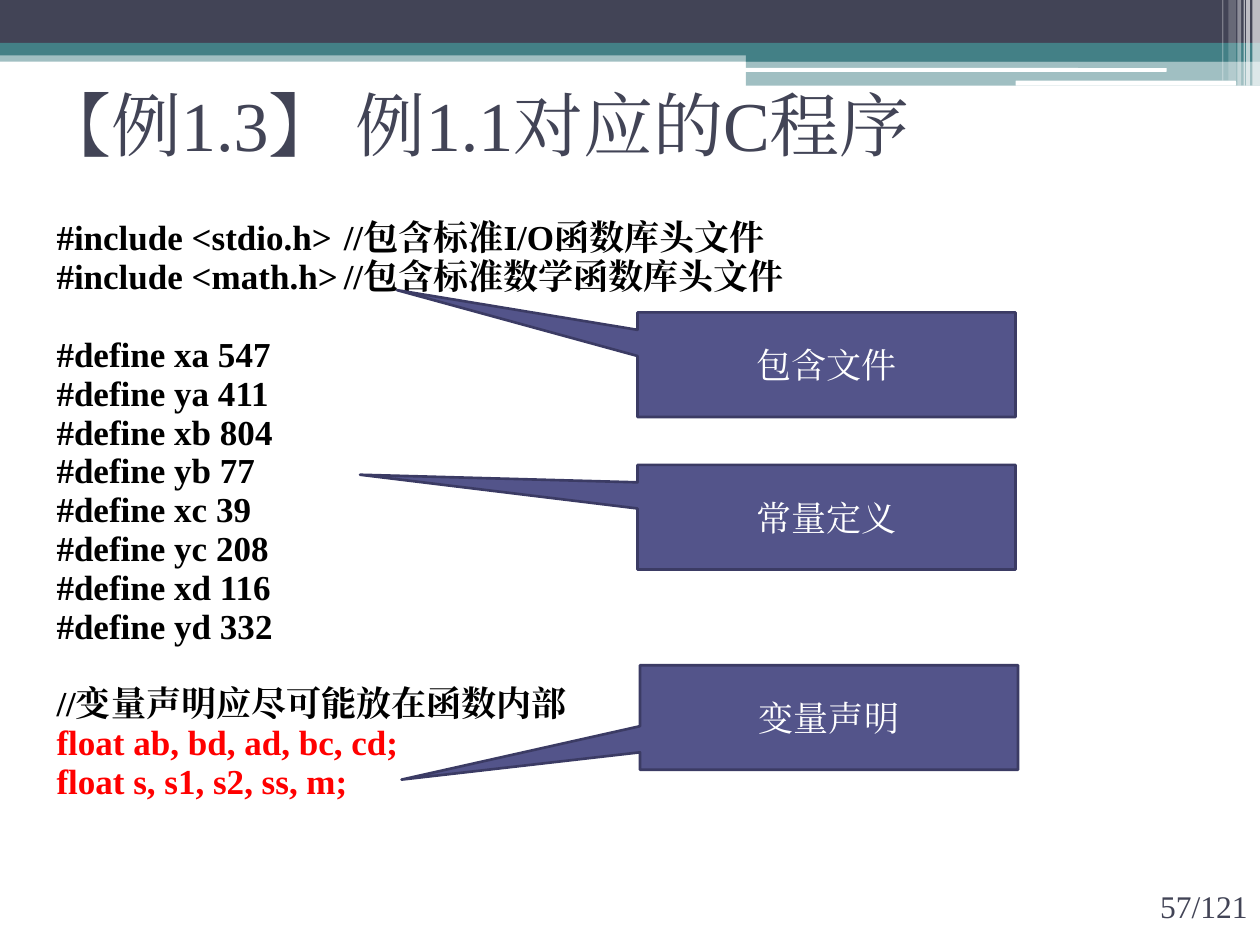
from dataclasses import dataclass

from lxml import etree
from pptx import Presentation
from pptx.dml.color import RGBColor
from pptx.enum.shapes import MSO_SHAPE
from pptx.enum.text import MSO_ANCHOR, PP_ALIGN
from pptx.oxml.ns import qn
from pptx.util import Inches, Pt

RECT, ROUNDED = MSO_SHAPE.RECTANGLE, MSO_SHAPE.ROUNDED_RECTANGLE
CALLOUT = MSO_SHAPE.RECTANGULAR_CALLOUT
LEFT, CENTER, RIGHT = PP_ALIGN.LEFT, PP_ALIGN.CENTER, PP_ALIGN.RIGHT
TOP, MIDDLE = MSO_ANCHOR.TOP, MSO_ANCHOR.MIDDLE


@dataclass(frozen=True)
class Theme:
    font: str = "Times New Roman"
    ink: str = "424456"
    teal: str = "438086"
    white: str = "FFFFFF"
    code: str = "000000"
    highlight: str = "FF0000"
    callout: str = "53548A"
    callout_edge: str = "3B3B64"
    title_size: int = 40
    body_size: int = 20
    page_size: int = 18
    code_pitch: float = 19.2
    code_gap: int = 3


THEME = Theme()

# Header bands: left, top, width, height, colour, opacity in percent
BANDS = [
    (0, 0.4, 10, 0.09, THEME.teal, 50),
    (0, 0, 10, 0.34, THEME.ink, 100),
    (0, 0.34, 10, 0.1, THEME.teal, 100),
    (5.92, 0.39, 4.08, 0.1, THEME.teal, 100),
    (5.92, 0.48, 4.08, 0.2, THEME.teal, 50),
]
# White rules in the header: left, top, width, height
RULES = [(5.91, 0.54, 3.35, 0.03), (8.06, 0.64, 1.75, 0.04)]
# Vertical stripes at the right: left, width, height, opacity
STRIPES = [
    (9.94, 0.06, 0.68, 65), (9.89, 0.03, 0.68, 65), (9.87, 0.01, 0.68, 60),
    (9.82, 0.03, 0.68, 40), (9.75, 0.06, 0.64, 20), (9.7, 0.01, 0.64, 30),
]
# Code blocks, separated by one empty line's height
CODE_BLOCKS = [
    ["#include <stdio.h>\t//包含标准I/O函数库头文件",
     "#include <math.h>\t//包含标准数学函数库头文件"],
    ["#define xa 547", "#define ya 411", "#define xb 804", "#define yb 77",
     "#define xc 39", "#define yc 208", "#define xd 116", "#define yd 332"],
    ["//变量声明应尽可能放在函数内部",
     "float ab, bd, ad, bc, cd;", "float s, s1, s2, ss, m;"],
]
# Callouts: label, left, top, pointer tip relative to the box
CALLOUTS = [
    ("常量定义", 5.06, 3.69, (-1.234, -0.406)),
    ("包含文件", 5.06, 2.48, (-1.136, -0.713)),
    ("变量声明", 5.08, 5.28, (-1.131, 0.594)),
]


def write(paragraph, text, *, size=THEME.body_size, color=THEME.code,
          bold=False, align=LEFT):
    paragraph.alignment = align
    run = paragraph.add_run()
    run.text = text
    run.font.size = Pt(size)
    run.font.bold = bold
    run.font.color.rgb = RGBColor.from_string(color)
    run.font.name = THEME.font
    east_asian = etree.SubElement(run._r.get_or_add_rPr(), qn("a:ea"))
    east_asian.set("typeface", THEME.font)


def add_block(slide, kind, box, color, opacity=100):
    block = slide.shapes.add_shape(kind, *map(Inches, box))
    block.shadow.inherit = False
    block.fill.solid()
    block.fill.fore_color.rgb = RGBColor.from_string(color)
    block.line.fill.background()
    if opacity < 100:
        tint = block._element.spPr.find(f".//{qn('a:srgbClr')}")
        etree.SubElement(tint, qn("a:alpha")).set("val", str(opacity * 1000))
    return block


def add_text_frame(slide, box, anchor=MIDDLE):
    frame = slide.shapes.add_textbox(*map(Inches, box)).text_frame
    frame.word_wrap = True
    frame.vertical_anchor = anchor
    return frame


def add_header(slide):
    for *box, color, opacity in BANDS:
        add_block(slide, RECT, box, color, opacity)
    for box in RULES:
        add_block(slide, ROUNDED, box, THEME.white)
    for left, width, height, opacity in STRIPES:
        add_block(slide, RECT, (left, 0, width, height), THEME.white, opacity)


def format_code_line(paragraph, gap):
    paragraph.line_spacing = Pt(THEME.code_pitch)
    paragraph.space_before = Pt(gap)
    properties = paragraph._p.get_or_add_pPr()
    properties.set("marL", str(Inches(0.4)))
    properties.set("indent", str(Inches(-0.28)))
    # Comments line up on one tab stop
    stops = etree.SubElement(properties, qn("a:tabLst"))
    etree.SubElement(stops, qn("a:tab"), pos=str(Inches(2)), algn="l")


def add_code(slide):
    frame = add_text_frame(slide, (0.23, 1.72, 9.45, 5.16), TOP)
    frame.margin_top = Inches(0.06)
    line_gap = THEME.code_gap
    block_gap = 2 * line_gap + THEME.code_pitch
    for block_index, block in enumerate(CODE_BLOCKS):
        for line_index, code in enumerate(block):
            first = block_index == line_index == 0
            line = frame.paragraphs[0] if first else frame.add_paragraph()
            gap = 0 if first else line_gap if line_index else block_gap
            format_code_line(line, gap)
            color = THEME.highlight if code.startswith("float") else THEME.code
            write(line, code, color=color, bold=True)


def add_callout(slide, label, left, top, tip):
    callout = add_block(slide, CALLOUT, (left, top, 3, 0.83), THEME.callout)
    callout.adjustments[0], callout.adjustments[1] = tip
    callout.line.color.rgb = RGBColor.from_string(THEME.callout_edge)
    callout.line.width = Pt(1.5)
    callout.text_frame.vertical_anchor = MIDDLE
    write(callout.text_frame.paragraphs[0], label, color=THEME.white,
          align=CENTER)


def main():
    deck = Presentation()
    deck.slide_width, deck.slide_height = Inches(10), Inches(7.5)
    slide = deck.slides.add_slide(deck.slide_layouts[6])

    add_header(slide)

    # Page number and title
    page = add_text_frame(slide, (8.91, 6.88, 1.09, 0.62))
    write(page.paragraphs[0], "57/121", size=THEME.page_size, color=THEME.ink,
          align=RIGHT)
    title = add_text_frame(slide, (0.23, 0.55, 9.45, 0.86))
    write(title.paragraphs[0], "【例1.3】 例1.1对应的C程序",
          size=THEME.title_size, color=THEME.ink)

    # Program text and its annotations
    add_code(slide)
    for callout in CALLOUTS:
        add_callout(slide, *callout)

    deck.save("out.pptx")


if __name__ == "__main__":
    main()
